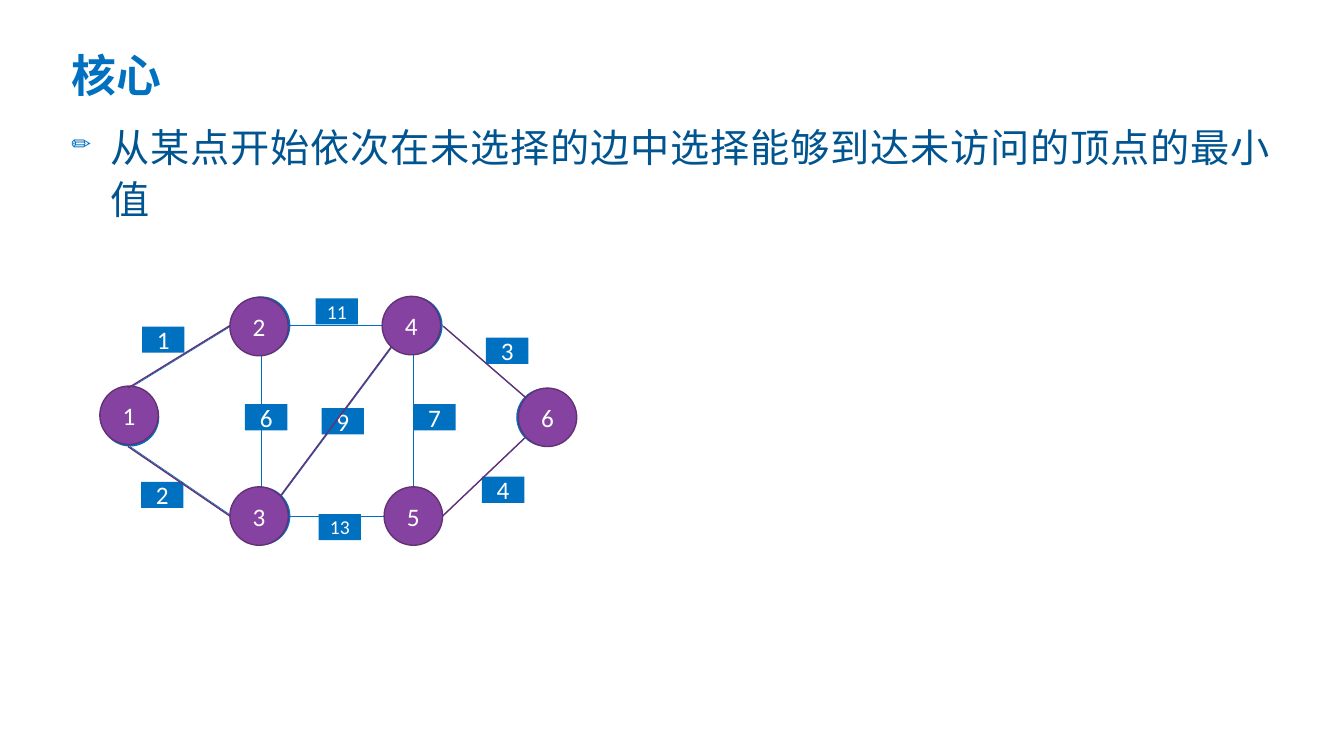
from dataclasses import dataclass
from math import sqrt

from lxml.etree import SubElement
from pptx import Presentation
from pptx.dml.color import RGBColor
from pptx.enum.shapes import MSO_CONNECTOR, MSO_SHAPE
from pptx.enum.text import MSO_ANCHOR, PP_ALIGN
from pptx.oxml.ns import qn
from pptx.util import Inches, Pt


@dataclass(frozen=True)
class Theme:
    blue: RGBColor = RGBColor(0x00, 0x70, 0xC0)
    body: RGBColor = RGBColor(0x00, 0x54, 0x90)
    purple: RGBColor = RGBColor(0x85, 0x42, 0xA0)
    outline: RGBColor = RGBColor(0x62, 0x31, 0x76)
    white: RGBColor = RGBColor(0xFF, 0xFF, 0xFF)
    chinese_font: str = "Noto Sans CJK SC"
    number_font: str = "Calibri"
    title_size: int = 32
    body_size: int = 28
    number_size: int = 18
    small_size: int = 14


THEME = Theme()
NODE_SIZE = 0.58
LABEL_SIZE = (0.42, 0.26)

# Positions are measured from the top left corner of the graph
NODES = {"2": (1.3, 0), "4": (2.81, 0), "1": (0, 0.91), "3": (1.3, 1.89), "6": (4.12, 0.91)}
VISITED_NODES = {"1": (-0.01, 0.89), "2": (1.28, 0.01), "3": (1.28, 1.89),
                 "4": (2.79, 0), "6": (4.14, 0.91), "5": (2.81, 1.89)}
ALL_NODES = NODES | {"5": VISITED_NODES["5"]}

# Each edge: start node, side, end node, side
EDGES = [("2", "right", "4", "left"), ("4", "bottom left", "3", "top right"),
         ("2", "bottom", "3", "top"), ("2", "left", "1", "top"),
         ("1", "bottom", "3", "left"), ("4", "bottom", "5", "top"),
         ("3", "right", "5", "left"), ("4", "right", "6", "top left"),
         ("6", "bottom left", "5", "right")]
# Chosen edges with their small shift to the side
CHOSEN_EDGES = {EDGES[3]: (-0.02, 0), EDGES[4]: (-0.02, 0), EDGES[1]: (-0.01, 0),
                EDGES[7]: (0.01, 0.01), EDGES[8]: (0, 0)}
WEIGHTS = [("1", 0.41, 0.3), ("11", 2.13, 0.02), ("3", 3.82, 0.41),
           ("2", 0.4, 1.84), ("9", 2.19, 1.11), ("6", 1.43, 1.07),
           ("13", 2.16, 2.16), ("4", 3.78, 1.79), ("7", 3.1, 1.07)]


def set_font(para, name, size, color, bold=False):
    font = para.font
    font.name, font.size, font.bold = name, Pt(size), bold
    font.color.rgb = color
    SubElement(para._p.pPr.find(qn("a:defRPr")), qn("a:ea"), typeface=name)


def add_title(page, text, left, top, width, height):
    title = page.shapes.title
    title.left, title.top = Inches(left), Inches(top)
    title.width, title.height = Inches(width), Inches(height)
    title.text_frame.vertical_anchor = MSO_ANCHOR.BOTTOM
    para = title.text_frame.paragraphs[0]
    para.text = text
    para.alignment = PP_ALIGN.LEFT
    para.line_spacing = 0.9
    set_font(para, THEME.chinese_font, THEME.title_size, THEME.blue, bold=True)


def add_body(page, text, left, top, width, height):
    box = page.shapes.add_textbox(Inches(left), Inches(top), Inches(width), Inches(height))
    box.text_frame.word_wrap = True
    para = box.text_frame.paragraphs[0]
    para.text = text
    para.alignment = PP_ALIGN.JUSTIFY
    para.line_spacing = 1.1
    # Pencil bullet with a hanging indent
    properties = para._p.get_or_add_pPr()
    properties.set("marL", str(Inches(0.39)))
    properties.set("indent", str(-Inches(0.39)))
    color = SubElement(properties, qn("a:buClr"))
    SubElement(color, qn("a:srgbClr"), val=str(THEME.blue))
    SubElement(properties, qn("a:buSzPct"), val="60000")
    SubElement(properties, qn("a:buChar"), char="✏")
    set_font(para, THEME.chinese_font, THEME.body_size, THEME.body)


def add_number(page, kind, text, left, top, width, height, fill, outline=None):
    shape = page.shapes.add_shape(kind, Inches(left), Inches(top), Inches(width), Inches(height))
    shape.shadow.inherit = False
    shape.fill.solid()
    shape.fill.fore_color.rgb = fill
    if outline is None:
        shape.line.fill.background()
    else:
        shape.line.color.rgb = outline
        shape.line.width = Pt(1)
    shape.text_frame.vertical_anchor = MSO_ANCHOR.MIDDLE
    para = shape.text_frame.paragraphs[0]
    para.text = text
    para.alignment = PP_ALIGN.CENTER
    size = THEME.number_size if len(text) == 1 else THEME.small_size
    set_font(para, THEME.number_font, size, THEME.white)


def rim_point(node, side):
    """Point on the rim of a node in the direction of the named side."""
    words = side.split()
    across = ("right" in words) - ("left" in words)
    down = ("bottom" in words) - ("top" in words)
    radius = NODE_SIZE / 2
    reach = radius / sqrt(len(words))
    left, top = ALL_NODES[node]
    return left + radius + across * reach, top + radius + down * reach


def add_edge(page, left, top, edge, color, width, shift=(0, 0)):
    start_node, start_side, end_node, end_side = edge
    left, top = left + shift[0], top + shift[1]
    start_x, start_y = rim_point(start_node, start_side)
    end_x, end_y = rim_point(end_node, end_side)
    line = page.shapes.add_connector(
        MSO_CONNECTOR.STRAIGHT, Inches(left + start_x), Inches(top + start_y),
        Inches(left + end_x), Inches(top + end_y))
    line.line.color.rgb = color
    line.line.width = Pt(width)
    SubElement(line._element.spPr, qn("a:effectLst"))


def add_graph(page, left, top):
    # Weighted graph
    for name, (x, y) in NODES.items():
        add_number(page, MSO_SHAPE.OVAL, name, left + x, top + y,
                   NODE_SIZE, NODE_SIZE, THEME.blue)
    for edge in EDGES:
        add_edge(page, left, top, edge, THEME.blue, 0.5)
    for weight, x, y in WEIGHTS:
        add_number(page, MSO_SHAPE.RECTANGLE, weight, left + x, top + y,
                   *LABEL_SIZE, THEME.blue)
    # Visited nodes and chosen edges
    for name, (x, y) in VISITED_NODES.items():
        add_number(page, MSO_SHAPE.OVAL, name, left + x, top + y,
                   NODE_SIZE, NODE_SIZE, THEME.purple, THEME.outline)
    for edge, shift in CHOSEN_EDGES.items():
        add_edge(page, left, top, edge, THEME.outline, 1, shift)


def main():
    deck = Presentation()
    deck.slide_width, deck.slide_height = Inches(13.33), Inches(7.5)
    page = deck.slides.add_slide(deck.slide_layouts[5])
    add_title(page, "核心", 0.61, 0.19, 12.09, 0.87)
    add_body(page, "从某点开始依次在未选择的边中选择能够到达未访问的顶点的最小值",
             0.61, 1.13, 12.09, 5.54)
    add_graph(page, 1, 2.94)
    deck.save("out.pptx")


if __name__ == "__main__":
    main()
